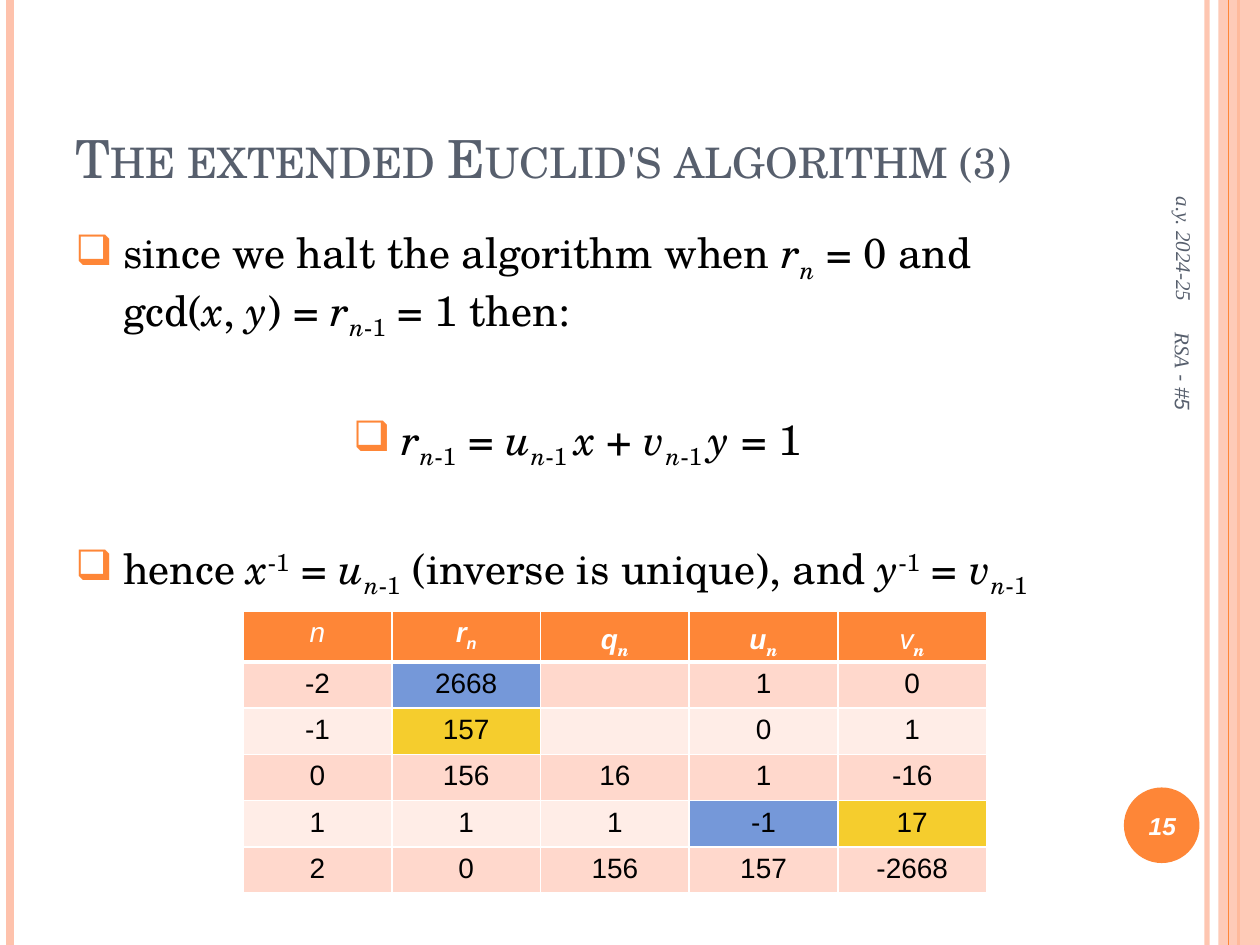
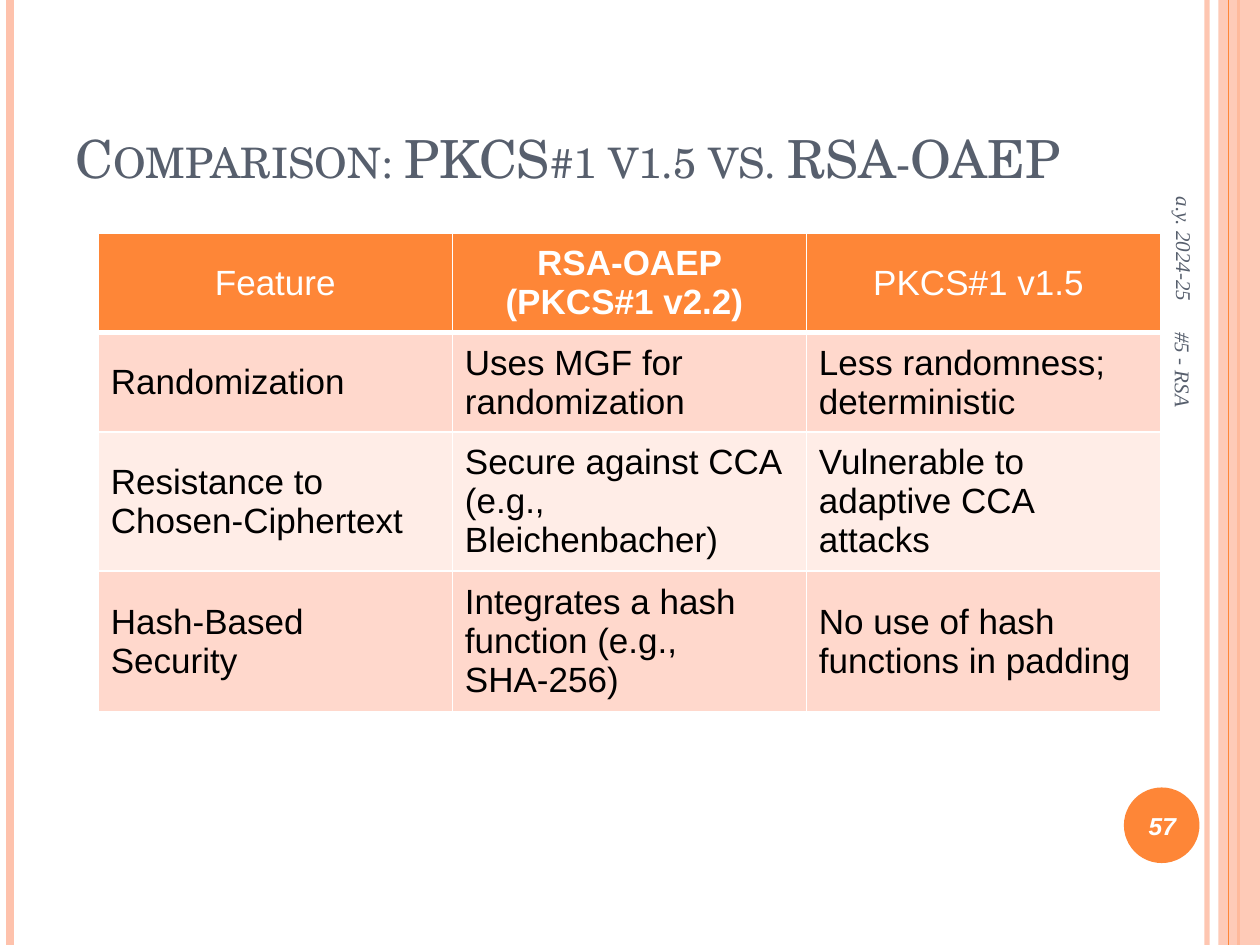
from dataclasses import dataclass

import pptx
import pptx.dml.color
import pptx.enum.shapes
import pptx.enum.text
import pptx.oxml.ns
import pptx.util
from lxml import etree

Inches = pptx.util.Inches
Pt = pptx.util.Pt
RGB = pptx.dml.color.RGBColor.from_string
ALIGN = pptx.enum.text.PP_ALIGN
ANCHOR = pptx.enum.text.MSO_ANCHOR
SHAPE = pptx.enum.shapes.MSO_SHAPE
qn = pptx.oxml.ns.qn


@dataclass(frozen=True)
class Theme:
    accent: str = "FE8637"
    band: str = "FEC2AC"
    heading: str = "575F6D"
    text: str = "000000"
    white: str = "FFFFFF"
    row_dark: str = "FFD8CC"
    row_light: str = "FFEDE7"
    blue: str = "7598D9"
    yellow: str = "F5CD2D"
    serif: str = "TeX Gyre Schola"
    sans: str = "Arial"
    footer_font: str = "Times New Roman"
    title_size: int = 30
    body_size: int = 24
    comparison_size: int = 20
    steps_size: int = 16
    number_size: int = 14
    footer_size: int = 12


T = Theme()


# --- Text ---

def style_font(font, size, name, color, bold=False, italic=False):
    font.size, font.name = Pt(size), name
    font.bold, font.italic = bold, italic
    font.color.rgb = RGB(color)


def add_runs(p, parts, size, name, color, bold=False):
    """Write (text, marks) parts; marks: i italic, - subscript, + superscript,
    b bold, s serif."""
    for text, marks in parts:
        if text == "\n":
            p.add_line_break()
            continue
        r = p.add_run()
        r.text = text
        face = T.serif if "s" in marks else name
        style_font(r.font, size, face, color, bold or "b" in marks, "i" in marks)
        if "-" in marks:
            r.font._element.set("baseline", "-25000")
        elif "+" in marks:
            r.font._element.set("baseline", "30000")


def add_text(s, box, anchor, rotation=0):
    sp = s.shapes.add_textbox(*map(Inches, box))
    sp.rotation = rotation
    tf = sp.text_frame
    tf.word_wrap = True
    tf.vertical_anchor = anchor
    return tf


def add_label(s, box, text, size, color, align, rotation=90, bold=False, rtl=False):
    tf = add_text(s, box, ANCHOR.MIDDLE, rotation)
    tf.text = text
    p = tf.paragraphs[0]
    p.alignment = align
    r = p.runs[0]
    style_font(r.font, size, T.footer_font, color, bold, italic=True)
    if rtl:
        p._p.get_or_add_pPr().set("rtl", "1")
        etree.SubElement(r.font._element, qn("a:cs"), typeface=T.sans)


def add_title(s, text):
    tf = add_text(s, (0.5, 0.3, 8.17, 1.25), ANCHOR.BOTTOM)
    tf.text = text
    font = tf.paragraphs[0].runs[0].font
    style_font(font, T.title_size, T.serif, T.heading)
    font._element.set("cap", "small")


def add_bullet(p):
    pPr = p._p.get_or_add_pPr()
    pPr.set("marL", str(Inches(0.38)))
    pPr.set("indent", str(Inches(-0.38)))
    color = etree.SubElement(pPr, qn("a:buClr"))
    etree.SubElement(color, qn("a:srgbClr"), val=T.accent)
    etree.SubElement(pPr, qn("a:buChar"), char="❑")


def add_body(s, items):
    tf = add_text(s, (0.5, 1.75, 8.17, 5.33), ANCHOR.TOP)
    for i, (parts, align) in enumerate(items):
        p = tf.add_paragraph() if i else tf.paragraphs[0]
        add_bullet(p)
        p.alignment = align
        if i:
            p.space_before = Pt(41)
        add_runs(p, parts, T.body_size, T.serif, T.text)


# --- Shared frame ---

def set_opacity(element, percent):
    color = element.find(".//" + qn("a:srgbClr"))
    etree.SubElement(color, qn("a:alpha"), val=str(percent * 1000))


def add_rule(s, x, color, width, opacity=100):
    line = s.shapes.add_connector(pptx.enum.shapes.MSO_CONNECTOR.STRAIGHT,
                                  Inches(x), 0, Inches(x), Inches(7.5))
    line.line.color.rgb = RGB(color)
    line.line.width = Pt(width)
    spPr = line._element.spPr
    if opacity < 100:
        set_opacity(spPr, opacity)
    etree.SubElement(spPr, qn("a:effectLst"))


def add_filled(s, kind, box, color):
    sp = s.shapes.add_shape(kind, *map(Inches, box))
    sp.shadow.inherit = False
    sp.fill.solid()
    sp.fill.fore_color.rgb = RGB(color)
    sp.line.fill.background()
    return sp


def add_slide(prs, title, number, rtl_course):
    s = prs.slides.add_slide(prs.slide_layouts[6])
    # Side bands and rules
    add_rule(s, 9.58, T.band, 3, opacity=92)
    add_rule(s, 0.08, T.band, 4.5)
    add_rule(s, 9.83, T.accent, 1.5)
    band = add_filled(s, SHAPE.RECTANGLE, (9.67, 0, 0.33, 7.5), T.band)
    set_opacity(band._element.spPr, 86)
    add_rule(s, 9.75, T.accent, 0.75)
    add_filled(s, SHAPE.OVAL, (8.92, 6.25, 0.6, 0.6), T.accent)
    add_title(s, title)
    # Footers
    add_label(s, (8.3, 1.18, 2.2, 0.42), "a.y. 2024-25", T.footer_size,
              T.heading, ALIGN.RIGHT)
    add_label(s, (8.89, 6.27, 0.67, 0.57), number, T.number_size,
              T.white, ALIGN.CENTER, rotation=0, bold=True, rtl=True)
    add_label(s, (7.64, 4.09, 3.5, 0.4), "#5 - RSA", T.footer_size,
              T.heading, ALIGN.LEFT, rtl=rtl_course)
    return s


# --- Tables ---

def set_borders(cell, bottom):
    tcPr = cell._tc.get_or_add_tcPr()
    for side, width in (("L", 1), ("R", 1), ("T", 1), ("B", bottom)):
        ln = etree.SubElement(tcPr, qn(f"a:ln{side}"), w=str(Pt(width)))
        fill = etree.SubElement(ln, qn("a:solidFill"))
        etree.SubElement(fill, qn("a:srgbClr"), val=T.white)


def add_table(s, left, top, col_width, heights, header, rows, size, align,
              anchor, highlights=None):
    """Header cells are lists of parts; body cells are plain strings."""
    n_cols = len(header)
    table = s.shapes.add_table(
        len(heights), n_cols, Inches(left), Inches(top),
        Inches(col_width * n_cols), Inches(sum(heights))).table
    table.first_row = table.horz_banding = False
    for col in table.columns:
        col.width = Inches(col_width)
    body = [[[(text, "")] if text else [] for text in row] for row in rows]
    for i, row in enumerate([header] + body):
        table.rows[i].height = Inches(heights[i])
        row_fill = T.accent if i == 0 else T.row_dark if i % 2 else T.row_light
        for j, parts in enumerate(row):
            cell = table.cell(i, j)
            set_borders(cell, bottom=1 if i else 3)
            cell.fill.solid()
            cell.fill.fore_color.rgb = RGB((highlights or {}).get((i, j), row_fill))
            cell.vertical_anchor = anchor
            p = cell.text_frame.paragraphs[0]
            p.alignment = align if i else ALIGN.CENTER
            add_runs(p, parts, size, T.sans, T.text if i else T.white)
            if not parts:
                etree.SubElement(p._p, qn("a:endParaRPr"), sz=str(size * 100))


# --- Slides ---

def indexed(name, tail=""):
    """A variable with subscript n-1."""
    return [(name, "i"), ("n", "i-"), ("-1" + tail, "-")]


def inverse(name):
    return [(name, "i"), ("-1", "+"), (" = ", "")]


def build_euclid(prs):
    s = add_slide(prs, "The extended Euclid's algorithm (3)", "15", rtl_course=True)
    halt = [("since we halt the algorithm when ", ""), ("r", "i"), ("n", "i-"),
            (" = 0 and ", ""), ("\n", ""), ("gcd(", ""), ("x", "i"), (", ", ""),
            ("y", "i"), (") = ", ""), *indexed("r"), (" = 1 then:", "")]
    identity = [*indexed("r"), (" = ", ""), *indexed("u", " "), ("x", "i"),
                (" + ", ""), *indexed("v", " "), ("y", "i"), (" = 1", "")]
    result = [("hence ", ""), *inverse("x"), *indexed("u"),
              (" (inverse is unique), and ", ""), *inverse("y"), *indexed("v")]
    add_body(s, [(halt, ALIGN.LEFT), (identity, ALIGN.CENTER), (result, ALIGN.LEFT)])

    header = [[("n", "i")],
              [("r", "bi"), ("n", "bi-")],
              [("q", "bi"), ("n", "bis-")],
              [("u", "bi"), ("n", "bis-")],
              [("v", "i"), ("n", "bis-")]]
    steps = [["-2", "2668", "", "1", "0"],
             ["-1", "157", "", "0", "1"],
             ["0", "156", "16", "1", "-16"],
             ["1", "1", "1", "-1", "17"],
             ["2", "0", "156", "157", "-2668"]]
    add_table(s, 1.93, 4.85, 1.18, [0.35] * 6, header, steps, T.steps_size,
              ALIGN.CENTER, ANCHOR.TOP,
              {(1, 1): T.blue, (4, 3): T.blue, (2, 1): T.yellow, (4, 4): T.yellow})


def build_comparison(prs):
    s = add_slide(prs, "Comparison: PKCS#1 v1.5 vs. RSA-OAEP", "57", rtl_course=False)
    header = [[("Feature", "")], [("RSA-OAEP (PKCS#1 v2.2) ", "b")],
              [("PKCS#1 v1.5 ", "")]]
    features = [
        ["Randomization", "Uses MGF for randomization",
         "Less randomness; deterministic"],
        ["Resistance to Chosen-Ciphertext",
         "Secure against CCA (e.g., Bleichenbacher)",
         "Vulnerable to adaptive CCA attacks"],
        ["Hash-Based Security", "Integrates a hash function (e.g., SHA-256)",
         "No use of hash functions in padding"]]
    add_table(s, 0.78, 1.85, 2.81, [0.79, 0.79, 0.79, 1.12], header, features,
              T.comparison_size, ALIGN.LEFT, ANCHOR.MIDDLE)


def main():
    prs = pptx.Presentation()
    prs.slide_width, prs.slide_height = Inches(10), Inches(7.5)
    build_euclid(prs)
    build_comparison(prs)
    prs.save("out.pptx")


if __name__ == "__main__":
    main()
